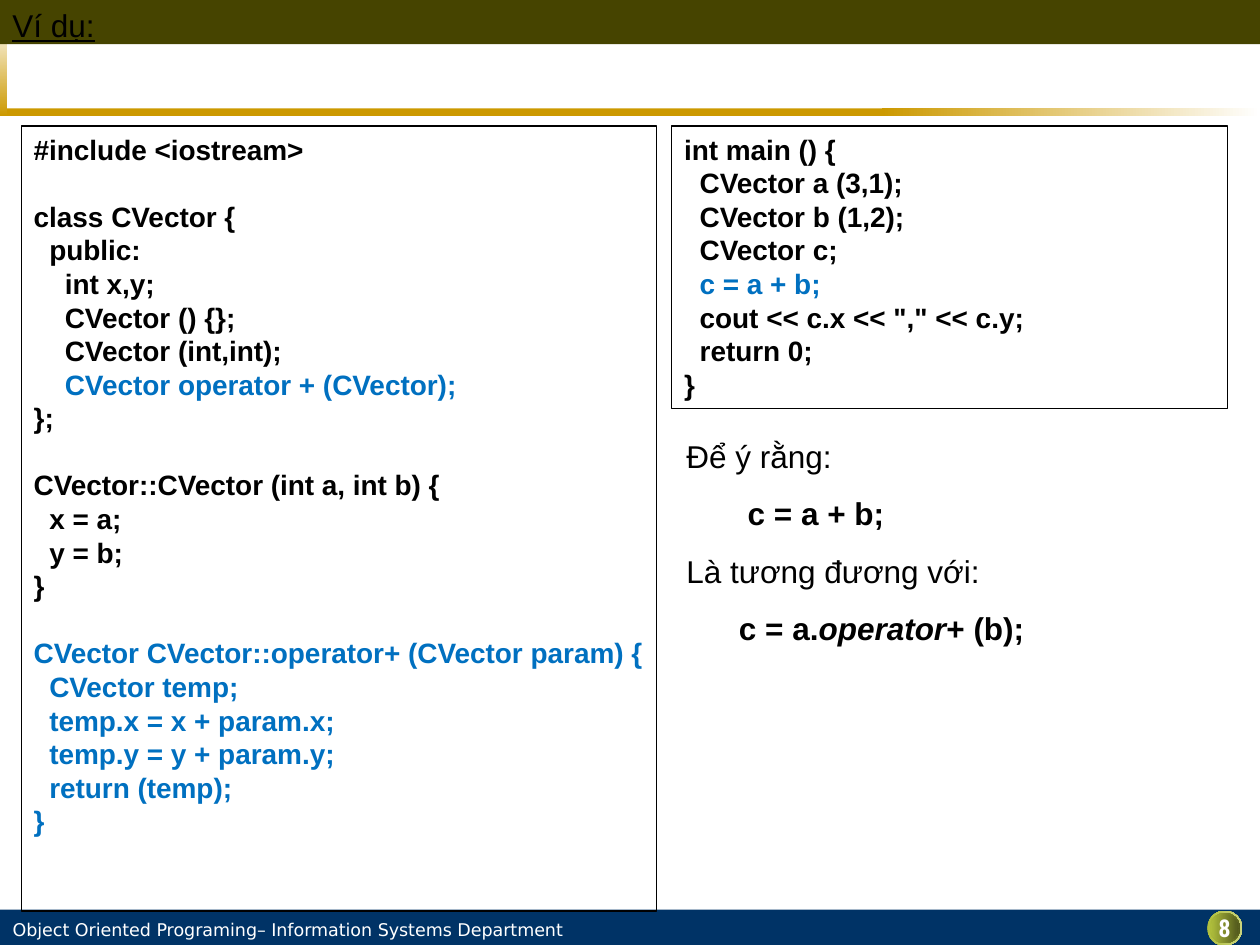
"""Build the operator overloading example slide."""
from pptx import Presentation
from pptx.dml.color import RGBColor
from pptx.enum.shapes import MSO_SHAPE
from pptx.enum.text import MSO_ANCHOR, PP_ALIGN
from pptx.util import Pt

BLACK, BLUE, WHITE, GOLD, OLIVE = "000000", "0070C0", "FFFFFF", "CC9900", "AFBE3C"


def tint(code):
    return RGBColor.from_string(code)


def write(frame, text, size=18, font="Arial", color=BLACK, bold=False, ital=False,
          line=False, align=PP_ALIGN.LEFT, gap=0, left=0, pitch=None, join=False):
    para = frame.paragraphs[-1]
    if para.runs and not join:
        para = frame.add_paragraph()
    if not join:
        para.alignment = align
        para.space_before = Pt(gap)
        if pitch:
            para.line_spacing = Pt(pitch)
        if left:
            props = para._p.get_or_add_pPr()
            props.set("marL", str(Pt(left)))
            props.set("indent", "0")
    run = para.add_run()
    run.text = text
    run.font.size, run.font.name = Pt(size), font
    run.font.bold, run.font.italic, run.font.underline = bold, ital, line
    run.font.color.rgb = tint(color)


deck = Presentation()
deck.slide_width, deck.slide_height = Pt(720), Pt(540)
slide = deck.slides.add_slide(deck.slide_layouts[6])
shapes = slide.shapes

RECT, OVAL = MSO_SHAPE.RECTANGLE, MSO_SHAPE.OVAL
parts = [
    (RECT, 0, 61.9, 504, 4.3, [GOLD], 0),
    (RECT, 0, 9.4, 4.3, 56.9, [WHITE, GOLD], 270),
    (RECT, 504, 61.9, 216, 4.3, [GOLD, WHITE], 0),
    (RECT, 0, 0, 720, 25.2, ["464400"], 0),
    (RECT, 0, 519.8, 720, 20.2, ["003366"], 0),
]
badge = [(20, WHITE), (20, "CAD47D"), (17.4, "5F6720"), (17.4, "555C1D"), (16, "51581C")]
for size, end in badge:
    parts.append((OVAL, 699.9 - size / 2, 530.4 - size / 2, size, size, [OLIVE, end], 0))

for kind, x, y, wide, high, hues, angle in parts:
    part = shapes.add_shape(kind, Pt(x), Pt(y), Pt(wide), Pt(high))
    part.shadow.inherit = False
    part.line.fill.background()
    if len(hues) == 1:
        part.fill.solid()
        part.fill.fore_color.rgb = tint(hues[0])
    else:
        part.fill.gradient()
        part.fill.gradient_angle = angle
        for stop, hue in zip(part.fill.gradient_stops, hues):
            stop.color.rgb = tint(hue)

frames = []
for x, y, wide, high, side, top in [
    (5.8, 524.9, 370.8, 12.2, 1.4, 0),
    (681.8, 522, 36, 19.4, 0, 0),
    (0, 0, 266.4, 28.8, 7.2, 3.6),
    (385.2, 246.2, 232.6, 127.4, 7.2, 3.6),
]:
    frame = shapes.add_textbox(Pt(x), Pt(y), Pt(wide), Pt(high)).text_frame
    frame.word_wrap = True
    frame.margin_left = frame.margin_right = Pt(side)
    frame.margin_top = frame.margin_bottom = Pt(top)
    frames.append(frame)
foot, page, title, note = frames

write(foot, "Object Oriented Programing– Information Systems Department",
      size=10, font="DejaVu Sans", color=WHITE)
write(page, "8", size=14, font="Roboto Condensed", color=WHITE, bold=True,
      align=PP_ALIGN.CENTER)
write(title, "Ví dụ:", line=True, pitch=21.6)

write(note, "Để ý rằng:", pitch=21.6)
write(note, "c = a + b;", bold=True, gap=11.2, left=35, pitch=21.6)
write(note, "Là tương đương với:", gap=11.2, pitch=21.6)
write(note, "c = a.", bold=True, gap=11.2, left=30, pitch=21.6)
write(note, "operator", bold=True, ital=True, join=True)
write(note, "+ (b);", bold=True, join=True)

vector = """#include <iostream>

class CVector {
  public:
    int x,y;
    CVector () {};
    CVector (int,int);
    CVector operator + (CVector);
};

CVector::CVector (int a, int b) {
  x = a;
  y = b;
}

CVector CVector::operator+ (CVector param) {
  CVector temp;
  temp.x = x + param.x;
  temp.y = y + param.y;
  return (temp);
}"""
main = """int main () {
  CVector a (3,1);
  CVector b (1,2);
  CVector c;
  c = a + b;
  cout << c.x << "," << c.y;
  return 0;
}"""
pitch = 19.2
for x, wide, high, code, marked in [
    (12.2, 362.9, 448.6, vector, {7, *range(15, 21)}),
    (383.8, 317.5, 161.3, main, {4}),
]:
    box = shapes.add_shape(RECT, Pt(x), Pt(72), Pt(wide), Pt(high))
    box.shadow.inherit = False
    box.fill.background()
    box.line.color.rgb = tint(BLACK)
    box.line.width = Pt(0.75)
    frame = box.text_frame
    frame.word_wrap = True
    frame.vertical_anchor = MSO_ANCHOR.TOP
    frame.margin_left, frame.margin_right = Pt(7.2), Pt(0)
    frame.margin_top = frame.margin_bottom = Pt(3.6)
    gap = 0
    for row, text in enumerate(code.split("\n")):
        if not text:
            gap = pitch
            continue
        bare = text.lstrip()
        write(frame, bare, size=16, bold=True, color=BLUE if row in marked else BLACK,
              gap=gap, left=4.45 * (len(text) - len(bare)), pitch=pitch)
        gap = 0

deck.save("out.pptx")
